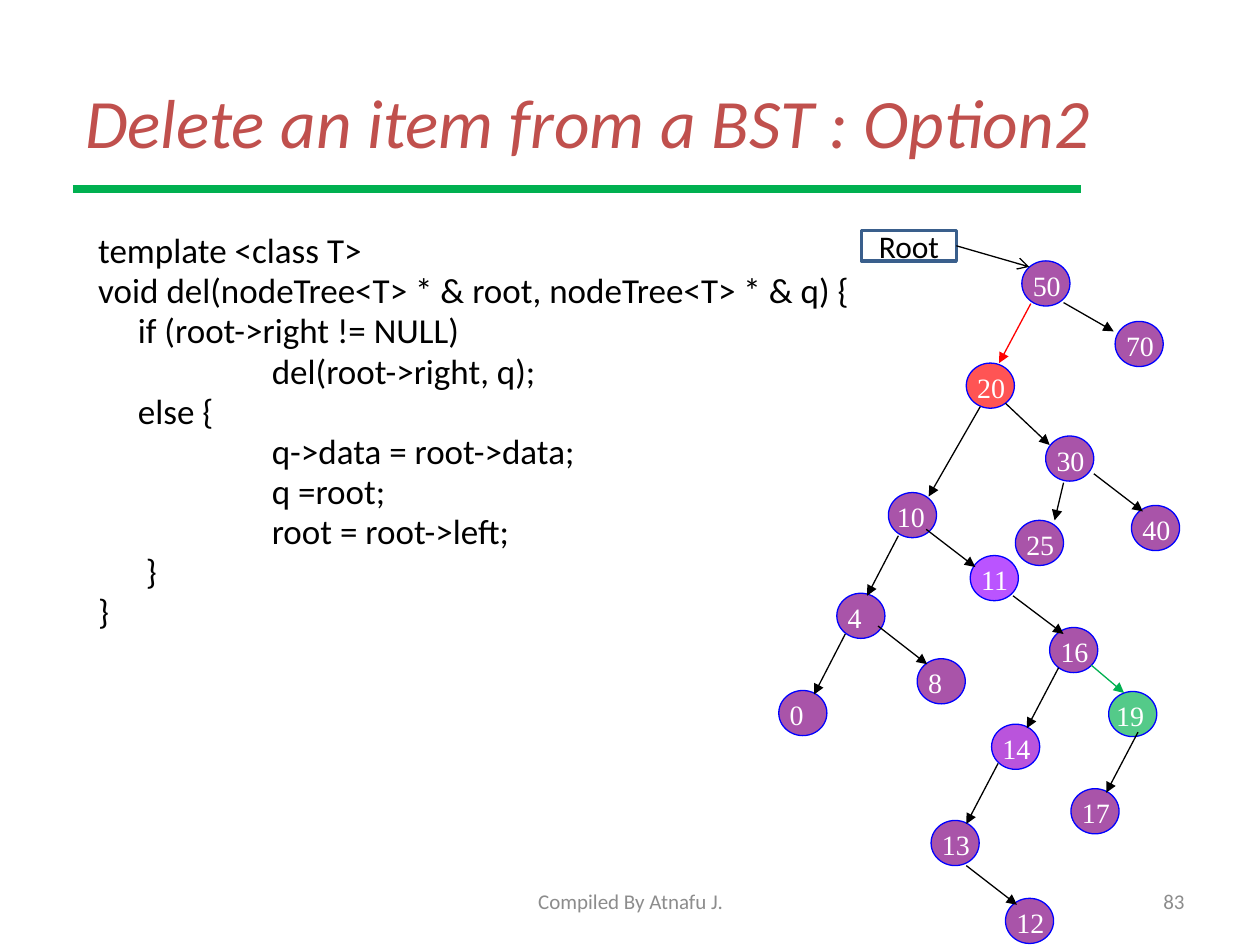
from pptx import Presentation
from pptx.dml.color import RGBColor
from pptx.enum.shapes import MSO_CONNECTOR, MSO_SHAPE
from pptx.enum.text import MSO_ANCHOR, PP_ALIGN
from pptx.oxml.ns import qn
from pptx.util import Cm, Pt
from lxml.etree import SubElement

PURPLE = "800080"
BLACK = "000000"
WIDE, HIGH = 0.97, 0.91

# value, left, top, fill
NODES = [
    ("50", 20.6, 5.26, PURPLE),
    ("70", 22.48, 6.48, PURPLE),
    ("20", 19.48, 7.32, "FF0000"),
    ("30", 21.08, 8.79, PURPLE),
    ("40", 22.81, 10.19, PURPLE),
    ("25", 20.47, 10.49, PURPLE),
    ("10", 17.91, 9.93, PURPLE),
    ("11", 19.56, 11.2, "9900FF"),
    ("4", 16.87, 11.96, PURPLE),
    ("8", 18.49, 13.28, PURPLE),
    ("0", 15.7, 13.92, PURPLE),
    ("16", 21.16, 12.65, PURPLE),
    ("19", 22.35, 13.94, "00B050"),
    ("14", 19.99, 14.6, "9900CC"),
    ("17", 21.59, 15.9, PURPLE),
    ("13", 18.77, 16.54, PURPLE),
    ("12", 20.27, 18.11, PURPLE),
]
# Labels that sit further left than the rest
SHIFTS = {"10": -0.08, "19": -0.1}

# start x, start y, end x, end y, colour
EDGES = [
    (20.78, 6.12, 20.14, 7.32, "FF0000"),   # 50 to 20
    (21.44, 6.1, 22.45, 6.68, BLACK),       # 50 to 70
    (19.76, 8.2, 18.72, 10.01, BLACK),      # 20 to 10
    (20.27, 8.13, 21.16, 8.97, BLACK),      # 20 to 30
    (21.44, 9.73, 21.26, 10.49, BLACK),     # 30 to 25
    (22.05, 9.55, 23.04, 10.31, BLACK),     # 30 to 40
    (18.11, 10.8, 17.48, 12.01, BLACK),     # 10 to 4
    (18.67, 10.67, 19.66, 11.43, BLACK),    # 10 to 11
    (17.04, 12.78, 16.41, 14, BLACK),       # 4 to 0
    (17.7, 12.62, 18.69, 13.39, BLACK),     # 4 to 8
    (20.42, 12.01, 21.44, 12.78, BLACK),    # 11 to 16
    (21.34, 13.46, 20.7, 14.68, BLACK),     # 16 to 14
    (22, 13.41, 22.66, 13.97, "00B050"),    # 16 to 19
    (22.94, 14.76, 22.3, 15.98, BLACK),     # 19 to 17
    (20.12, 15.39, 19.48, 16.61, BLACK),    # 14 to 13
    (19.48, 17.45, 20.5, 18.24, BLACK),     # 13 to 12
]

# indent, text
CODE = [
    (0, "template <class T>"),
    (0, "void del(nodeTree<T> * & root, nodeTree<T> * & q) {"),
    (0.8, "if (root->right != NULL)"),
    (3.5, "del(root->right, q);"),
    (0.8, "else {"),
    (3.5, "q->data = root->data;"),
    (3.5, "q =root;"),
    (3.5, "root = root->left;"),
    (0.96, "}"),
    (0, "}"),
]


def rgb(color):
    return RGBColor.from_string(color)


def style(para, size, color, font="Calibri", italic=False, align=PP_ALIGN.LEFT):
    para.alignment = align
    for run in para.runs:
        run.font.name = font
        run.font.size = Pt(size)
        run.font.italic = italic
        run.font.color.rgb = rgb(color)


def add_text(shapes, text, box, size, color, anchor=MSO_ANCHOR.MIDDLE, **look):
    frame = shapes.add_textbox(*map(Cm, box)).text_frame
    frame.word_wrap = True
    frame.vertical_anchor = anchor
    frame.text = text
    style(frame.paragraphs[0], size, color, **look)


def add_line(shapes, ends, color, width=0.75, head=None):
    line = shapes.add_connector(MSO_CONNECTOR.STRAIGHT, *map(Cm, ends))
    line.line.color.rgb = rgb(color)
    line.line.width = Pt(width)
    if head:
        SubElement(line.line._get_or_add_ln(), qn("a:tailEnd"), type=head)
    SubElement(line._element.spPr, qn("a:effectLst"))
    return line


def add_node(shapes, value, left, top, color):
    """Draw a see-through circle with its value on it."""
    oval = shapes.add_shape(MSO_SHAPE.OVAL, *map(Cm, (left, top, WIDE, HIGH)))
    oval.shadow.inherit = False
    oval.fill.solid()
    oval.fill.fore_color.rgb = rgb(color)
    tint = oval._element.spPr.find(qn("a:solidFill"))[0]
    SubElement(tint, qn("a:alpha"), val="67000")
    oval.line.color.rgb = rgb("0000FF")
    oval.line.width = Pt(0.75)
    box = (left + SHIFTS.get(value, -0.03), top + 0.02, 1.27, HIGH)
    add_text(shapes, value, box, 16, "FFFFFF", MSO_ANCHOR.TOP,
             font="Times New Roman")


def add_root(shapes):
    """Draw the Root box and its pointer to the top node."""
    box = shapes.add_shape(MSO_SHAPE.RECTANGLE,
                           *map(Cm, (17.37, 4.65, 1.91, 0.61)))
    box.shadow.inherit = False
    box.fill.background()
    box.line.color.rgb = rgb("3A5F8C")
    box.line.width = Pt(2)
    frame = box.text_frame
    frame.vertical_anchor = MSO_ANCHOR.MIDDLE
    frame.text = "Root"
    style(frame.paragraphs[0], 18, BLACK, align=PP_ALIGN.CENTER)
    line = add_line(shapes, (19.28, 4.95, 20.75, 5.38), BLACK, head="arrow")
    line.begin_connect(box, 3)


def add_tree(shapes):
    tree = shapes.add_group_shape().shapes
    for node in NODES:
        add_node(tree, *node)
    for *ends, color in EDGES:
        add_line(tree, ends, color, head="triangle")
    add_root(tree)


def add_code(shapes):
    frame = shapes.add_textbox(*map(Cm, (1.73, 4.65, 21.59, 13.13))).text_frame
    frame.word_wrap = True
    frame.text = "\n".join(text for _, text in CODE)
    for para, (indent, _) in zip(frame.paragraphs, CODE):
        style(para, 20, BLACK)
        para.line_spacing = 0.8
        para.space_before = Pt(3.7)
        para._p.get_or_add_pPr().set("marL", str(Cm(indent)))


def main():
    deck = Presentation()
    deck.slide_width, deck.slide_height = Cm(25.4), Cm(19.05)
    shapes = deck.slides.add_slide(deck.slide_layouts[6]).shapes
    add_text(shapes, "Delete an item from a BST : Option2",
             (1.47, 0.84, 22.86, 3.18), 39.6, "C0504D", italic=True)
    add_code(shapes)
    add_line(shapes, (1.47, 3.81, 21.79, 3.81), "00B050", 4.25)
    add_text(shapes, "83", (18.21, 17.65, 5.92, 1.02), 12, "8C8C8C",
             align=PP_ALIGN.RIGHT)
    add_tree(shapes)
    add_text(shapes, "Compiled By Atnafu J.", (8.69, 17.65, 8.05, 1.02), 12,
             "8C8C8C", align=PP_ALIGN.CENTER)
    deck.save("out.pptx")


if __name__ == "__main__":
    main()
